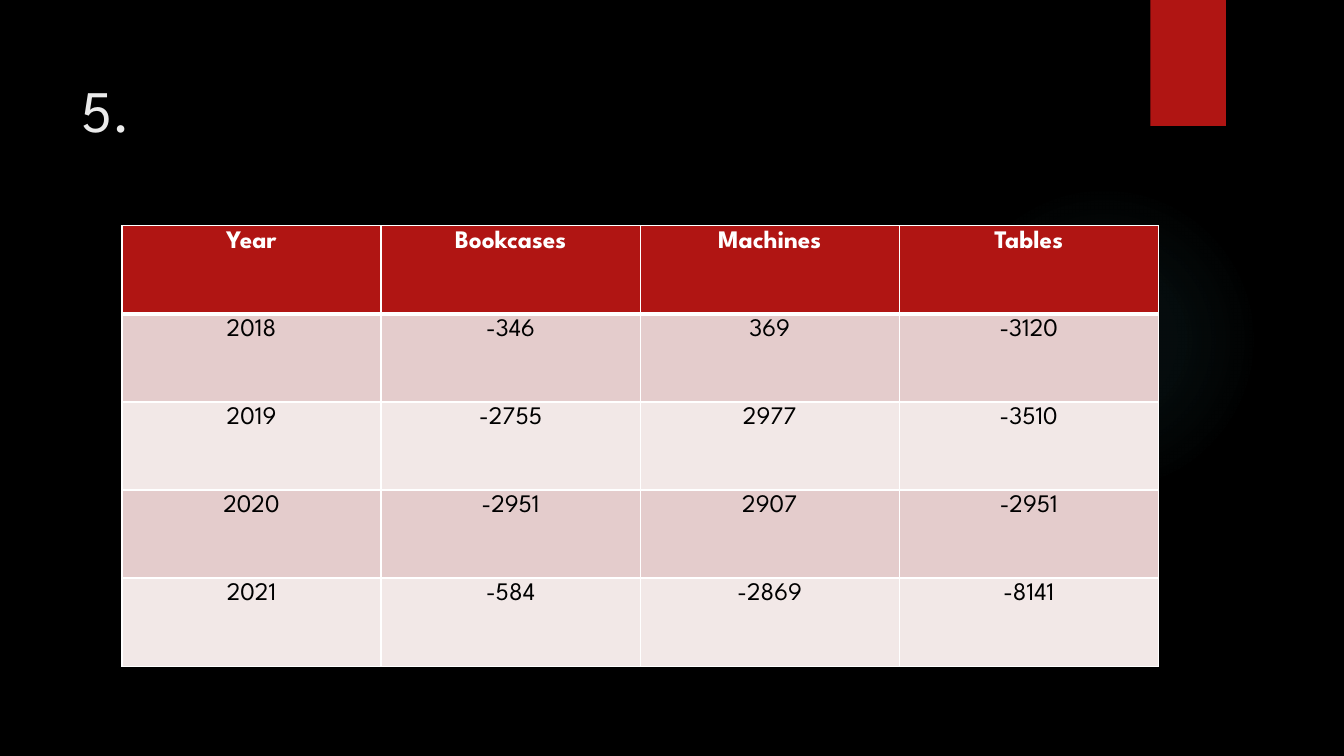
from lxml.etree import SubElement
from pptx import Presentation
from pptx.dml.color import RGBColor
from pptx.enum.shapes import MSO_SHAPE
from pptx.enum.text import MSO_ANCHOR, PP_ALIGN
from pptx.oxml import parse_xml
from pptx.oxml.ns import nsdecls, qn
from pptx.util import Inches, Pt

FONT = "League Spartan"
RED = "B01513"
WHITE = "FFFFFF"
BANDS = ("E4CCCC", "F2E8E7")
GLOW = "50B9C1"
GLOW_STOPS = ((0, 7), (36, 6), (69, 0))
PROFITS = (
    ("Year", "Bookcases", "Machines", "Tables"),
    ("2018", "-346", "369", "-3120"),
    ("2019", "-2755", "2977", "-3510"),
    ("2020", "-2951", "2907", "-2951"),
    ("2021", "-584", "-2869", "-8141"),
)


def color(value):
    """Return the colour for a hex string."""
    return RGBColor.from_string(value)


def style_paragraph(para, size, value, bold=False):
    """Set the font of a whole paragraph."""
    para.font.name = FONT
    para.font.size = Pt(size)
    para.font.bold = bold
    para.font.color.rgb = color(value)


def add_plain_shape(page, kind, box):
    """Add a preset shape without outline or shadow."""
    shape = page.shapes.add_shape(kind, *map(Inches, box))
    shape.shadow.inherit = False
    shape.line.fill.background()
    return shape


def add_glow(page, box):
    """Add a faint round glow that fades outwards."""
    glow = add_plain_shape(page, MSO_SHAPE.OVAL, box)
    stops = "".join(
        f'<a:gs pos="{place * 1000}"><a:srgbClr val="{GLOW}">'
        f'<a:alpha val="{alpha * 1000}"/></a:srgbClr></a:gs>'
        for place, alpha in GLOW_STOPS
    )
    gradient = parse_xml(
        f'<a:gradFill {nsdecls("a")} rotWithShape="1"><a:gsLst>{stops}</a:gsLst>'
        '<a:path path="circle"><a:fillToRect l="50000" t="50000" r="50000" b="50000"/>'
        "</a:path></a:gradFill>"
    )
    glow.element.spPr.find(qn("a:prstGeom")).addnext(gradient)


def add_ribbon(page, box):
    """Add the red ribbon at the top edge."""
    ribbon = add_plain_shape(page, MSO_SHAPE.RECTANGLE, box)
    ribbon.fill.solid()
    ribbon.fill.fore_color.rgb = color(RED)


def add_title(page, box, text):
    """Add the slide heading."""
    frame = page.shapes.add_textbox(*map(Inches, box)).text_frame
    frame.word_wrap = True
    frame.vertical_anchor = MSO_ANCHOR.TOP
    frame.margin_top = Inches(0.23)
    para = frame.paragraphs[0]
    para.text = text
    style_paragraph(para, 42, "EBEBEB")


def set_borders(cell, top, bottom):
    """Draw white borders, with the given top and bottom widths in points."""
    properties = cell._tc.get_or_add_tcPr()
    widths = (("lnL", 1), ("lnR", 1), ("lnT", top), ("lnB", bottom))
    for index, (side, width) in enumerate(widths):
        line = SubElement(properties, qn(f"a:{side}"), w=str(Pt(width)))
        fill = SubElement(line, qn("a:solidFill"))
        SubElement(fill, qn("a:srgbClr"), val=WHITE)
        properties.insert(index, line)


def add_profit_table(page, box, rows):
    """Add the table with a red header and banded rows."""
    left, top, width, height = map(Inches, box)
    table = page.shapes.add_table(
        len(rows), len(rows[0]), left, top, width, height
    ).table
    for row_index, values in enumerate(rows):
        header = row_index == 0
        for column_index, value in enumerate(values):
            cell = table.cell(row_index, column_index)
            cell.fill.solid()
            fill = RED if header else BANDS[(row_index - 1) % 2]
            cell.fill.fore_color.rgb = color(fill)
            set_borders(cell, 3 if row_index == 1 else 1, 3 if header else 1)
            para = cell.text_frame.paragraphs[0]
            para.text = value
            para.alignment = PP_ALIGN.CENTER
            style_paragraph(para, 18, WHITE if header else "000000", header)


def main():
    """Build and save the slide."""
    deck = Presentation()
    deck.slide_width, deck.slide_height = Inches(13.33), Inches(7.5)
    page = deck.slides.add_slide(deck.slide_layouts[6])
    page.background.fill.solid()
    page.background.fill.fore_color.rgb = color("000000")
    add_glow(page, (9.41, 1.83, 3.08, 3.08))
    add_ribbon(page, (11.41, 0, 0.75, 1.25))
    add_title(page, (0.71, 0.5, 10.29, 1.53), "5.")
    add_profit_table(page, (1.21, 2.24, 10.28, 4.37), PROFITS)
    deck.save("out.pptx")


if __name__ == "__main__":
    main()
